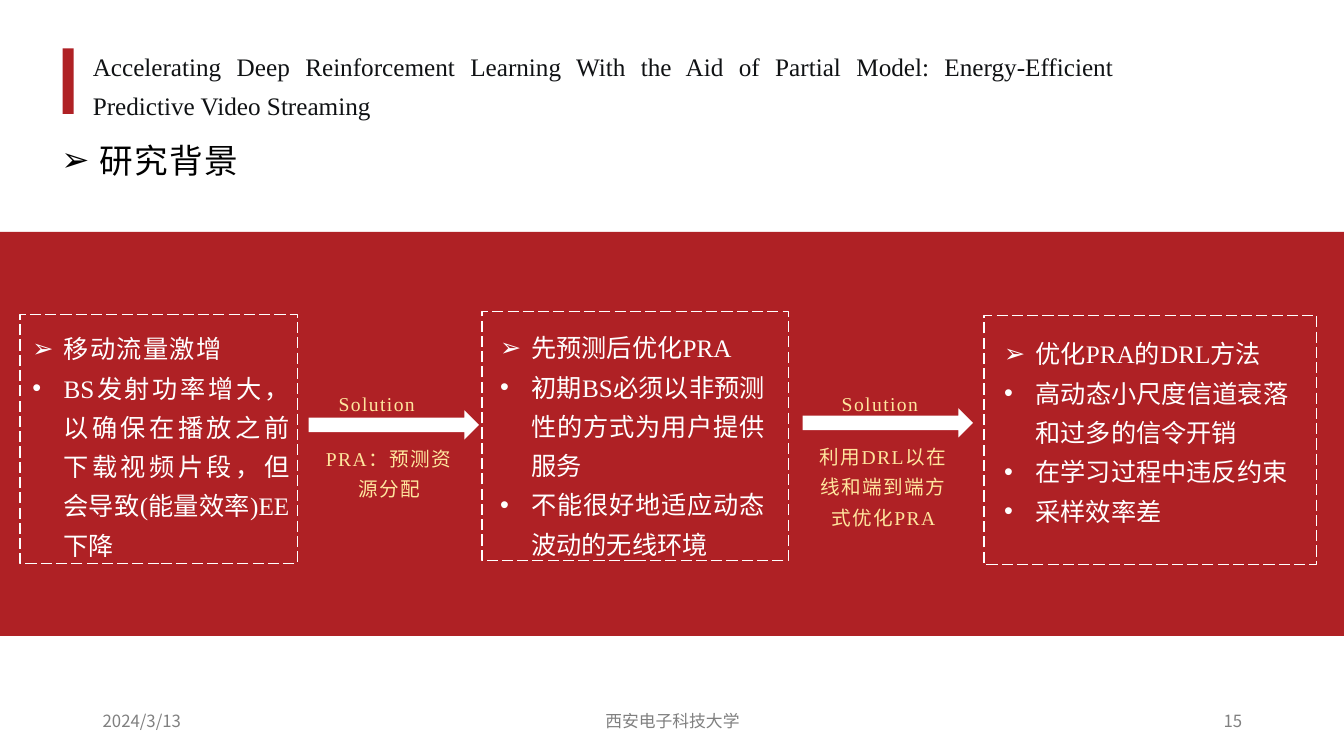
from dataclasses import dataclass
from typing import Optional

from lxml.etree import SubElement
from pptx import Presentation
from pptx.dml.color import RGBColor
from pptx.enum.dml import MSO_LINE_DASH_STYLE as Dash
from pptx.enum.shapes import MSO_SHAPE as Shape
from pptx.enum.text import MSO_ANCHOR as Anchor, MSO_AUTO_SIZE as AutoSize, PP_ALIGN as Align
from pptx.oxml.ns import qn
from pptx.util import Inches, Pt

COLORS = {"red": "AF2125", "white": "FFFFFF", "gold": "FFE69E",
          "gray": "808080", "black": "000000", "ink": "101214"}
SERIF, SANS = "Times New Roman", "Noto Sans CJK SC"
Box = tuple[float, float, float, float]


@dataclass
class Line:
    text: str
    bullet: str = ""
    spacing: float = 0  # points between letters


@dataclass
class Style:
    size: float
    color: str
    font: str = SERIF
    align: Align = Align.JUSTIFY
    anchor: Anchor = Anchor.TOP
    line_spacing: float = 1.3
    indent: float = 0


@dataclass
class Stage:
    frame: Box
    text_box: Box
    lines: list[Line]


@dataclass
class Step:
    arrow: Box
    label: Box
    note: Box
    note_text: str


TITLE = Style(18, "ink", anchor=Anchor.MIDDLE)
HEADING = Style(24, "black", indent=0.38)
LIST = Style(18, "white", indent=0.31)
LABEL = Style(14, "gold")
NOTE = Style(14, "gold", align=Align.CENTER)

STAGES = [
    Stage((0.2, 3.12, 2.75, 2.47), (0.22, 3.17, 2.75, 2.43), [
        Line("移动流量激增", "➢", 1),
        Line("BS发射功率增大，以确保在播放之前下载视频片段，但会导致(能量效率)EE下降", "•")]),
    Stage((4.78, 3.09, 3.04, 2.47), (4.86, 3.16, 2.83, 2.43), [
        Line("先预测后优化PRA", "➢"),
        Line("初期BS必须以非预测性的方式为用户提供服务", "•"),
        Line("不能很好地适应动态波动的无线环境", "•")]),
    Stage((9.76, 3.13, 3.3, 2.47), (9.86, 3.22, 3.02, 2.04), [
        Line("优化PRA的DRL方法", "➢"),
        Line("高动态小尺度信道衰落和过多的信令开销", "•"),
        Line("在学习过程中违反约束", "•"),
        Line("采样效率差", "•")]),
]
STEPS = [
    Step((3.06, 4.07, 1.69, 0.29), (3.26, 3.77, 1.52, 0.38),
         (3.1, 4.31, 1.52, 0.68), "PRA：预测资源分配"),
    Step((7.96, 4.05, 1.69, 0.29), (8.25, 3.77, 1.52, 0.38),
         (8, 4.29, 1.52, 0.99), "利用DRL以在线和端到端方式优化PRA"),
]
FOOTERS = [
    ((0.92, 6.95, 3, 0.4), "2024/3/13", Align.LEFT),
    ((4.42, 6.95, 4.5, 0.4), "西安电子科技大学", Align.CENTER),
    ((9.42, 6.95, 3, 0.4), "15", Align.RIGHT),
]


def rgb(name: str) -> RGBColor:
    return RGBColor.from_string(COLORS[name])


def apply(target, values: dict) -> None:
    for name, value in values.items():
        setattr(target, name, value)


def place(sp, box: Box) -> None:
    apply(sp, dict(zip(("left", "top", "width", "height"), map(Inches, box))))


def set_bullet(p, char: str, indent: float) -> None:
    pPr = p._p.get_or_add_pPr()
    if not char:
        SubElement(pPr, qn("a:buNone"))
        return
    pPr.set("marL", str(Inches(indent)))
    pPr.set("indent", str(-Inches(indent)))
    SubElement(pPr, qn("a:buFont")).set("typeface", "Arial")
    SubElement(pPr, qn("a:buChar")).set("char", char)


def write(sp, box: Box, lines: list[Line], style: Style) -> None:
    place(sp, box)
    tf = sp.text_frame
    apply(tf, {"word_wrap": True, "auto_size": AutoSize.NONE,
               "vertical_anchor": style.anchor})
    for i, line in enumerate(lines):
        p = tf.add_paragraph() if i else tf.paragraphs[0]
        set_bullet(p, line.bullet, style.indent)
        apply(p, {"alignment": style.align, "line_spacing": style.line_spacing,
                  "space_before": Pt(0)})
        r = p.add_run()
        r.text = line.text
        apply(r.font, {"size": Pt(style.size), "name": style.font, "bold": False})
        r.font.color.rgb = rgb(style.color)
        rPr = r.font._element
        rPr.set("spc", str(int(line.spacing * 100)))
        SubElement(rPr, qn("a:ea")).set("typeface", SANS)


def add_text(s, box: Box, line: Line, style: Style) -> None:
    write(s.shapes.add_textbox(*map(Inches, box)), box, [line], style)


def add_block(s, box: Box, fill: Optional[str] = None, kind: Shape = Shape.RECTANGLE):
    sp = s.shapes.add_shape(kind, *map(Inches, box))
    sp.shadow.inherit = False
    if fill:
        sp.fill.solid()
        sp.fill.fore_color.rgb = rgb(fill)
        sp.line.fill.background()
    else:
        sp.fill.background()
        sp.line.color.rgb = rgb("white")
        apply(sp.line, {"width": Pt(1), "dash_style": Dash.LONG_DASH})
    return sp


def main() -> None:
    prs = Presentation()
    apply(prs, {"slide_width": Inches(13.33), "slide_height": Inches(7.5)})
    s = prs.slides.add_slide(prs.slide_layouts.get_by_name("Comparison"))
    heading, *lists = [sp for sp in s.placeholders if sp.placeholder_format.idx]

    # Red band, moved behind the placeholders
    band = add_block(s, (0, 2.3, 13.33, 4.01), "red")
    s.shapes.element.insert(2, band.element)

    # Header
    add_block(s, (0.62, 0.48, 0.11, 0.65), "red")
    write(s.shapes.title, (0.82, 0.53, 10.33, 0.56), [Line(
        "Accelerating Deep Reinforcement Learning With the Aid of Partial Model: "
        "Energy-Efficient Predictive Video Streaming")], TITLE)
    write(heading, (0.51, 1.22, 5.23, 0.57), [Line("研究背景", "➢", 1)], HEADING)

    # Stages in dashed frames
    for sp, stage in zip(lists, STAGES):
        write(sp, stage.text_box, stage.lines, LIST)
        add_block(s, stage.frame)

    # Arrows between the stages
    for step in STEPS:
        add_block(s, step.arrow, "white", Shape.RIGHT_ARROW)
        add_text(s, step.label, Line("Solution", spacing=1), LABEL)
        add_text(s, step.note, Line(step.note_text, spacing=1), NOTE)

    # Footer
    for box, text, align in FOOTERS:
        add_text(s, box, Line(text), Style(12, "gray", SANS, align, Anchor.MIDDLE, 1.0))

    prs.save("out.pptx")


if __name__ == "__main__":
    main()
